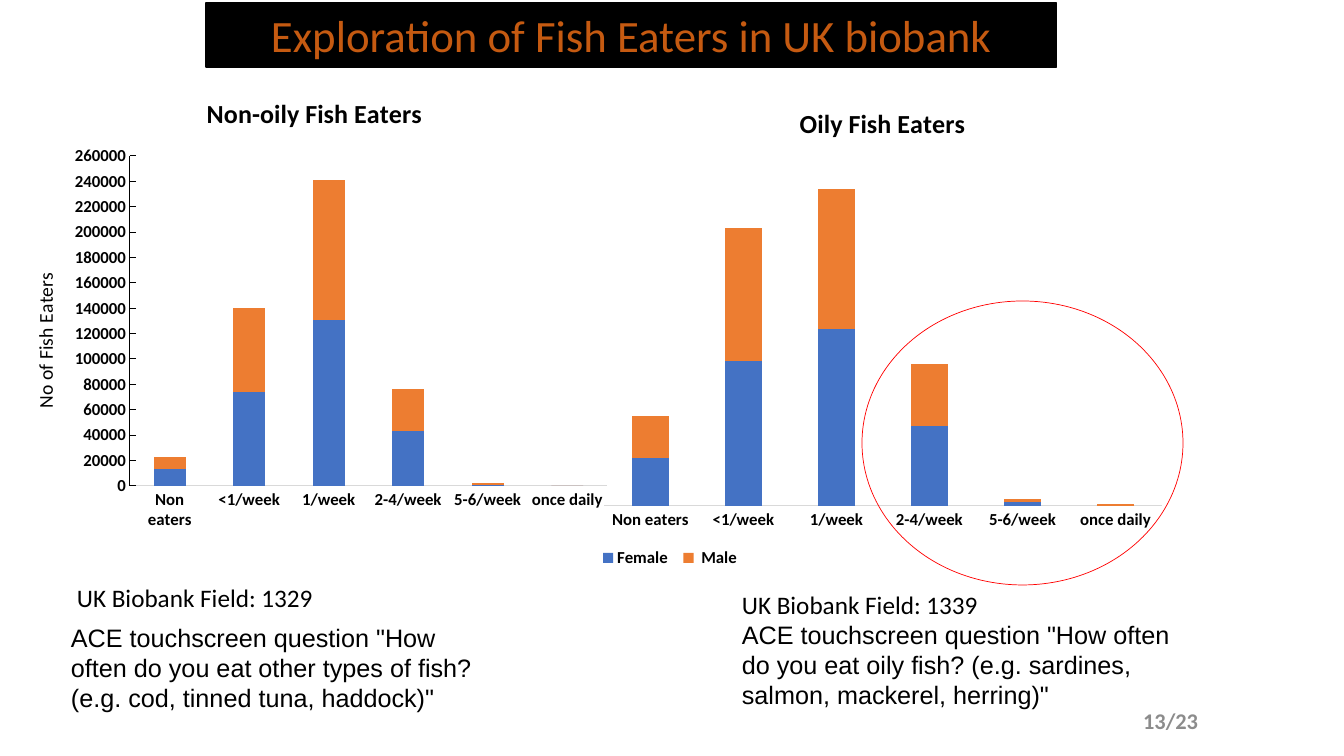
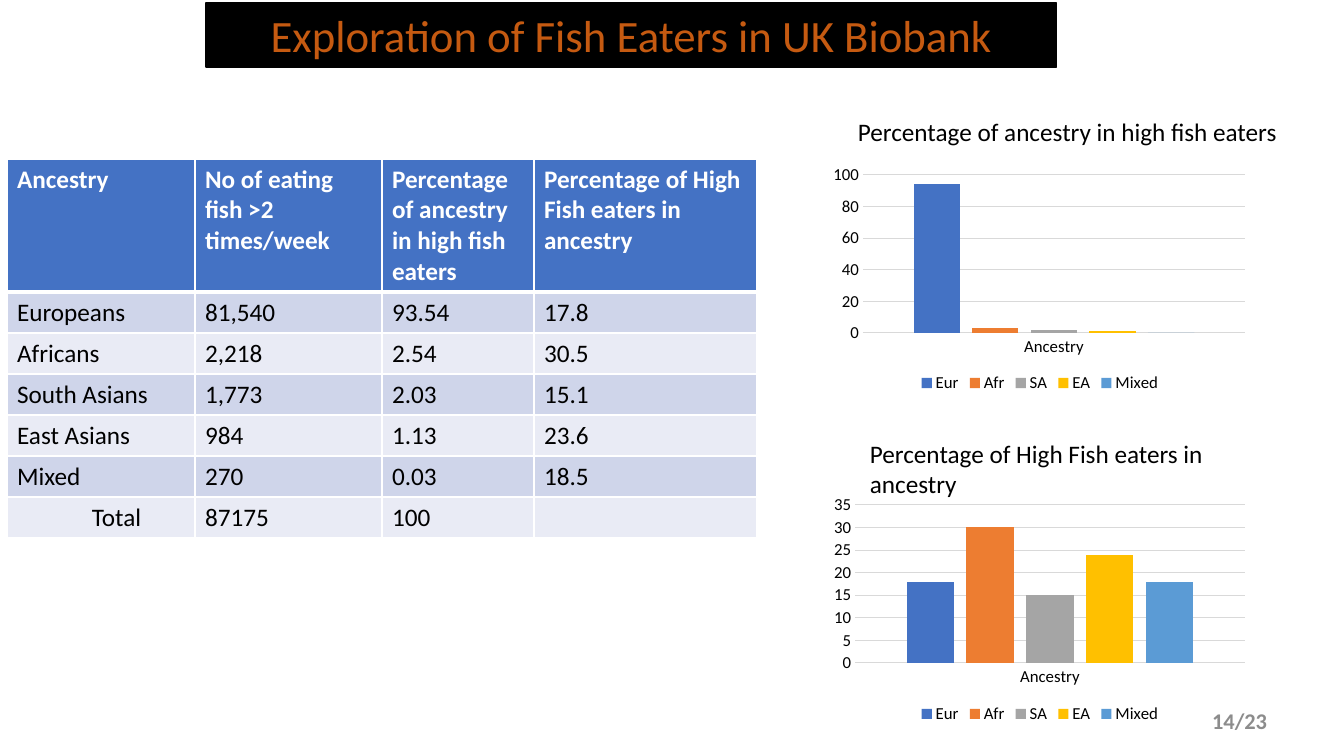
import pptx
import pptx.util
import pptx.chart.data
import pptx.dml.color
import pptx.enum.chart
import pptx.enum.shapes
import pptx.enum.text
import pptx.oxml

BLACK, WHITE, RUST, GREY = "000000", "FFFFFF", "C55A11", "8C8C8C"
RULE, RED = "D9D9D9", "FF0000"
HUES = ["4472C4", "ED7D31", "A5A5A5", "FFC000", "5B9BD5"]
BANDS = ["CFD5EA", "E9EBF5"]
BAR = (206, 3, 851, 64)

MEALS = ["Non eaters", "<1/week", "1/week", "2-4/week", "5-6/week", "once daily"]
WHITEFISH = [
    ("Series 1", [13000, 74000, 131000, 43000, 1000, 0]),
    ("Series 2", [10000, 66000, 110000, 33000, 1000, 0]),
]
OILY = [
    ("Female", [27, 82, 100, 45, 2, 0]),
    (" Male", [24, 75, 79, 35, 2, 1]),
]
NOTES = [
    ("UK Biobank Field: 1329", (67, 577, 277, 40), "Calibri"),
    ("UK Biobank Field: 1339", (732, 584, 277, 40), "Calibri"),
    ('ACE touchscreen question "How often do you eat other types of fish? '
     '(e.g. cod, tinned tuna, haddock)"', (61, 617, 428, 102), "Arial"),
    ('ACE touchscreen question "How often do you eat oily fish? '
     '(e.g. sardines, salmon, mackerel, herring)"', (732, 614, 451, 102), "Arial"),
]
HEAD = ["Ancestry", "No of eating fish >2 times/week",
        "Percentage of ancestry in high fish eaters",
        "Percentage of High Fish eaters in ancestry"]
ROWS = [
    ["Europeans", "81,540", "93.54", "17.8"],
    ["Africans", "2,218", "2.54", "30.5"],
    ["South Asians", "1,773", "2.03", "15.1"],
    ["East Asians", "984", "1.13", "23.6"],
    ["Mixed", "270", "0.03", "18.5"],
]
TOTAL = ["Total", "87175", "100", ""]
WIDTHS = [188, 187, 152, 223]
GROUPS = ["Eur", "Afr", "SA", "EA", "Mixed"]
SHARES = [
    (2, (826, 159, 428, 238), (863, 175, 382, 158), 100, 20, (848, 111, 469, 40)),
    (3, (826, 490, 428, 238), (855, 505, 390, 158), 35, 5, (860, 433, 379, 72)),
]

XL = pptx.enum.chart
ALIGN = pptx.enum.text.PP_ALIGN
NS = 'xmlns:%s="http://schemas.openxmlformats.org/drawingml/2006/%s"'


def px(n):
    return round(n * 914400 / 100.8)


def box(rect):
    return [px(n) for n in rect]


def rgb(hue):
    return pptx.dml.color.RGBColor.from_string(hue)


def style(font, size, hue=BLACK, bold=False, face="Calibri"):
    font.size = pptx.util.Pt(size)
    font.name = face
    font.bold = bold
    font.color.rgb = rgb(hue)


def stroke(line, hue, width=0.75):
    line.color.rgb = rgb(hue)
    line.width = pptx.util.Pt(width)


def write(frame, text, size, *look, align=ALIGN.LEFT):
    para = frame.paragraphs[0]
    para.alignment = align
    run = para.add_run()
    run.text = text
    style(run.font, size, *look)


def label(slide, text, rect, size, *look, align=ALIGN.LEFT):
    frame = slide.shapes.add_textbox(*box(rect)).text_frame
    frame.word_wrap = True
    write(frame, text, size, *look, align=align)
    return frame


def start(deck, title, page, left):
    slide = deck.slides.add_slide(deck.slide_layouts[5])
    bar = slide.shapes.title
    bar.left, bar.top, bar.width, bar.height = box(BAR)
    bar.fill.solid()
    bar.fill.fore_color.rgb = rgb(BLACK)
    stroke(bar.line, BLACK)
    frame = bar.text_frame
    frame.word_wrap = True
    frame.vertical_anchor = pptx.enum.text.MSO_ANCHOR.MIDDLE
    write(frame, title, 32, RUST, align=ALIGN.CENTER)
    foot = label(slide, page, (left, 701, 302, 40), 16, GREY, True, align=ALIGN.RIGHT)
    foot.vertical_anchor = pptx.enum.text.MSO_ANCHOR.MIDDLE
    return slide


def place(chart, rect, query, spot, inner=False):
    node = chart.element.xpath(query)[0]
    for old in node.xpath("c:layout"):
        node.remove(old)
    left, top, width, height = rect
    part = [(spot[0] - left) / width, (spot[1] - top) / height]
    part += [n / full for n, full in zip(spot[2:], (width, height))]
    target = '<c:layoutTarget val="inner"/>' if inner else ""
    modes = '<c:xMode val="edge"/><c:yMode val="edge"/>'
    sizes = "".join(f'<c:{key} val="{val:.4f}"/>' for key, val in zip("xywh", part))
    layout = pptx.oxml.parse_xml(
        f'<c:layout {NS % ("c", "chart")}><c:manualLayout>{target}{modes}{sizes}'
        '</c:manualLayout></c:layout>')
    node.insert(0 if inner else 1, layout)


def columns(slide, kind, rect, plot, cats, series, top, gap, lap, bold):
    data = pptx.chart.data.CategoryChartData()
    data.categories = cats
    for name, vals in series:
        data.add_series(name, vals)
    chart = slide.shapes.add_chart(kind, *box(rect), data).chart
    style(chart.font, 10)
    chart.has_title = False
    chart.has_legend = False
    bars = chart.plots[0]
    bars.vary_by_categories = False
    bars.gap_width, bars.overlap = gap, lap
    for item, hue in zip(bars.series, HUES):
        item.format.fill.solid()
        item.format.fill.fore_color.rgb = rgb(hue)
    for axis in (chart.category_axis, chart.value_axis):
        axis.major_tick_mark = axis.minor_tick_mark = XL.XL_TICK_MARK.NONE
        axis.has_major_gridlines = False
        style(axis.tick_labels.font, 12, BLACK, bold)
    stroke(chart.category_axis.format.line, RULE)
    chart.value_axis.minimum_scale = 0
    chart.value_axis.maximum_scale = top
    place(chart, rect, "c:chart/c:plotArea", plot, True)
    return chart


def legend(chart, bold):
    chart.has_legend = True
    chart.legend.position = XL.XL_LEGEND_POSITION.BOTTOM
    chart.legend.include_in_layout = False
    style(chart.legend.font, 12, BLACK, bold)


def caption(chart, rect, text, spot):
    chart.has_title = True
    write(chart.chart_title.text_frame, text, 18.6, BLACK, True, align=None)
    place(chart, rect, "c:chart/c:title", spot)


def meals(deck):
    slide = start(deck, "Exploration of Fish Eaters in UK biobank", "13/23", 906)
    kind = XL.XL_CHART_TYPE.COLUMN_STACKED

    rect = (10, 74, 609, 465)
    chart = columns(slide, kind, rect, (130, 156, 477, 330), MEALS, WHITEFISH,
                    260000, 150, 100, True)
    caption(chart, rect, "Non-oily Fish Eaters", (202, 90))
    axis = chart.value_axis
    axis.major_unit = 20000
    axis.major_tick_mark = XL.XL_TICK_MARK.INSIDE
    stroke(axis.format.line, BLACK)
    axis.has_title = True
    frame = axis.axis_title.text_frame
    write(frame, "No of Fish Eaters", 14, align=None)
    turn = chart.element.xpath("//c:valAx/c:title//a:bodyPr")[0]
    turn.set("rot", "-5400000")
    turn.set("vert", "horz")
    place(chart, rect, "//c:valAx/c:title", (28, 269))

    rect = (593, 84, 582, 491)
    chart = columns(slide, kind, rect, (604, 152, 558, 354), MEALS, OILY,
                    200, 150, 100, True)
    caption(chart, rect, "Oily Fish Eaters", (795, 100))
    chart.value_axis.visible = False
    legend(chart, True)
    place(chart, rect, "c:chart/c:legend", (593, 550, 154, 24))

    for text, spot, face in NOTES:
        label(slide, text, spot, 18, BLACK, False, face)
    ring = slide.shapes.add_shape(pptx.enum.shapes.MSO_SHAPE.OVAL,
                                  *box((862, 301, 321, 284)))
    ring.shadow.inherit = False
    ring.fill.background()
    stroke(ring.line, RED, 0.5)


def edge(cell, side, width):
    cell._tc.get_or_add_tcPr().append(pptx.oxml.parse_xml(
        f'<a:ln{side} {NS % ("a", "main")} w="{width * 12700}"><a:solidFill>'
        f'<a:srgbClr val="{WHITE}"/></a:solidFill></a:ln{side}>'))


def grid(slide):
    lines = [HEAD] + ROWS + [TOTAL]
    high = [133] + [41] * (len(lines) - 1)
    table = slide.shapes.add_table(len(lines), len(HEAD),
                                   *box((7, 159, sum(WIDTHS), sum(high)))).table
    for col, width in zip(table.columns, WIDTHS):
        col.width = px(width)
    for r, line in enumerate(lines):
        table.rows[r].height = px(high[r])
        for c, text in enumerate(line):
            cell = table.cell(r, c)
            for side in "LRTB":
                thick = (r, side) in ((0, "B"), (1, "T"))
                edge(cell, side, 3 if thick else 1)
            cell.fill.solid()
            cell.fill.fore_color.rgb = rgb(BANDS[(r - 1) % 2] if r else HUES[0])
            if text:
                write(cell.text_frame, text, 18, BLACK if r else WHITE, r == 0)
    table.cell(len(lines) - 1, 0).margin_left = px(85)


def shares(deck):
    slide = start(deck, "Exploration of Fish Eaters in UK Biobank", "14/23", 975)
    grid(slide)
    for col, rect, plot, top, step, spot in SHARES:
        series = [(name, [round(float(row[col]))]) for name, row in zip(GROUPS, ROWS)]
        chart = columns(slide, XL.XL_CHART_TYPE.COLUMN_CLUSTERED, rect, plot,
                        ["Ancestry"], series, top, 219, -27, False)
        axis = chart.value_axis
        axis.major_unit = step
        axis.format.line.fill.background()
        axis.has_major_gridlines = True
        stroke(axis.major_gridlines.format.line, RULE)
        legend(chart, False)
        label(slide, HEAD[col], spot, 18)


def main():
    deck = pptx.Presentation()
    deck.slide_width, deck.slide_height = px(1344), px(756)
    meals(deck)
    shares(deck)
    deck.save("out.pptx")


if __name__ == "__main__":
    main()
